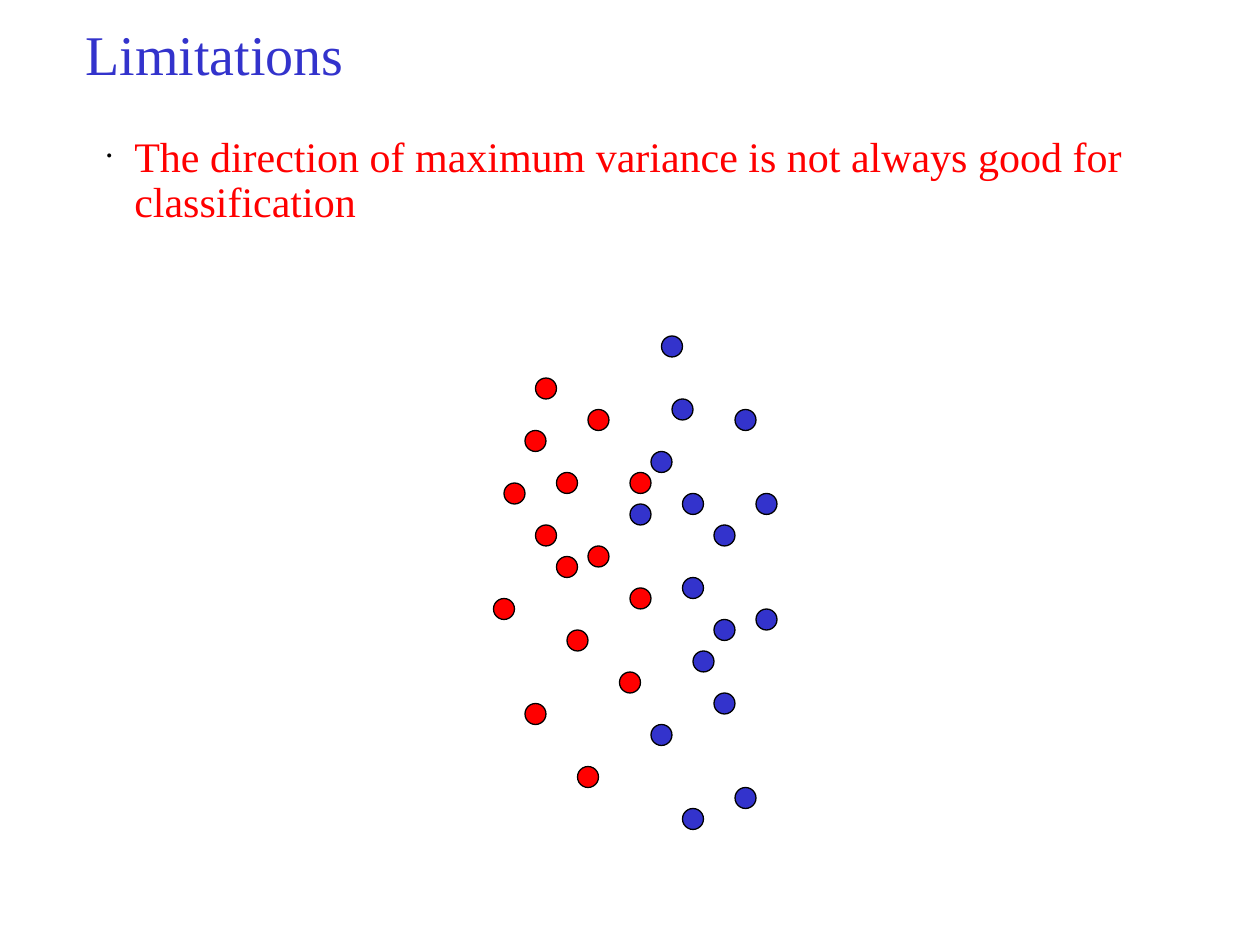
from lxml import etree
from pptx import Presentation
from pptx.dml.color import RGBColor
from pptx.enum.shapes import MSO_SHAPE
from pptx.enum.text import MSO_ANCHOR, PP_ALIGN
from pptx.oxml.ns import qn
from pptx.util import Emu, Pt

OVAL = MSO_SHAPE.OVAL
BOTTOM = MSO_ANCHOR.BOTTOM
LEFT = PP_ALIGN.LEFT

PX_PER_INCH = 126
FONT = "Times New Roman"
RED, BLUE, BLACK = "FF0000", "3333CC", "000000"
DOT = 21

# Top-left corners of the dots, in steps of half a dot.
RED_CLASS = [
    (51, 36), (53, 45), (50, 41), (48, 46), (51, 50),
    (54, 60), (56, 52), (47, 57), (53, 53), (50, 67),
    (56, 39), (60, 45), (60, 56), (59, 64), (55, 73),
]
BLUE_CLASS = [
    (63, 32), (65, 47), (62, 43), (60, 48), (68, 50), (66, 62),
    (70, 39), (68, 59), (65, 55), (62, 69), (64, 38), (72, 47),
    (72, 58), (68, 66), (70, 75), (65, 77),
]


def px(length):
    return Emu(round(length * 914400 / PX_PER_INCH))


def color(hex_text):
    return RGBColor.from_string(hex_text)


def style_text(para, size, hex_text):
    para.alignment = LEFT
    for span in para.runs:
        span.font.name = FONT
        span.font.size = Pt(size)
        span.font.color.rgb = color(hex_text)


def add_bullet(para, indent):
    """Give the paragraph a small black bullet with a hanging indent."""
    properties = para._p.get_or_add_pPr()
    properties.set("marL", str(px(indent)))
    properties.set("indent", str(-px(indent)))
    bullet_color = etree.SubElement(properties, qn("a:buClr"))
    etree.SubElement(bullet_color, qn("a:srgbClr"), val=BLACK)
    etree.SubElement(properties, qn("a:buSzPct"), val="40000")
    etree.SubElement(properties, qn("a:buFont"), typeface=FONT)
    etree.SubElement(properties, qn("a:buChar"), char="•")


def set_title(page, text):
    title = page.shapes.title
    title.left, title.top, title.width, title.height = map(px, (73, 10, 1092, 83))
    frame = title.text_frame
    frame.text = text
    frame.vertical_anchor = BOTTOM
    style_text(frame.paragraphs[0], 32, BLUE)


def add_statement(page, text):
    box = page.shapes.add_textbox(px(94), px(126), px(1072), px(147))
    frame = box.text_frame
    frame.word_wrap = True
    frame.margin_top = px(10)
    frame.text = text
    para = frame.paragraphs[0]
    add_bullet(para, 28)
    para.line_spacing = 0.9
    style_text(para, 24, RED)


def add_dots(page, corners, hex_text):
    for column, row in corners:
        dot = page.shapes.add_shape(
            OVAL, px(column * DOT / 2), px(row * DOT / 2), px(DOT), px(DOT)
        )
        dot.shadow.inherit = False
        dot.fill.solid()
        dot.fill.fore_color.rgb = color(hex_text)
        dot.line.color.rgb = color(BLACK)
        dot.line.width = Pt(0.75)


def main():
    deck = Presentation()
    deck.slide_width, deck.slide_height = px(1260), px(945)
    page = deck.slides.add_slide(deck.slide_layouts.get_by_name("Title Only"))
    set_title(page, "Limitations")
    add_statement(
        page,
        "The direction of maximum variance is not always good for classification",
    )
    add_dots(page, RED_CLASS, RED)
    add_dots(page, BLUE_CLASS, BLUE)
    deck.save("out.pptx")


if __name__ == "__main__":
    main()
